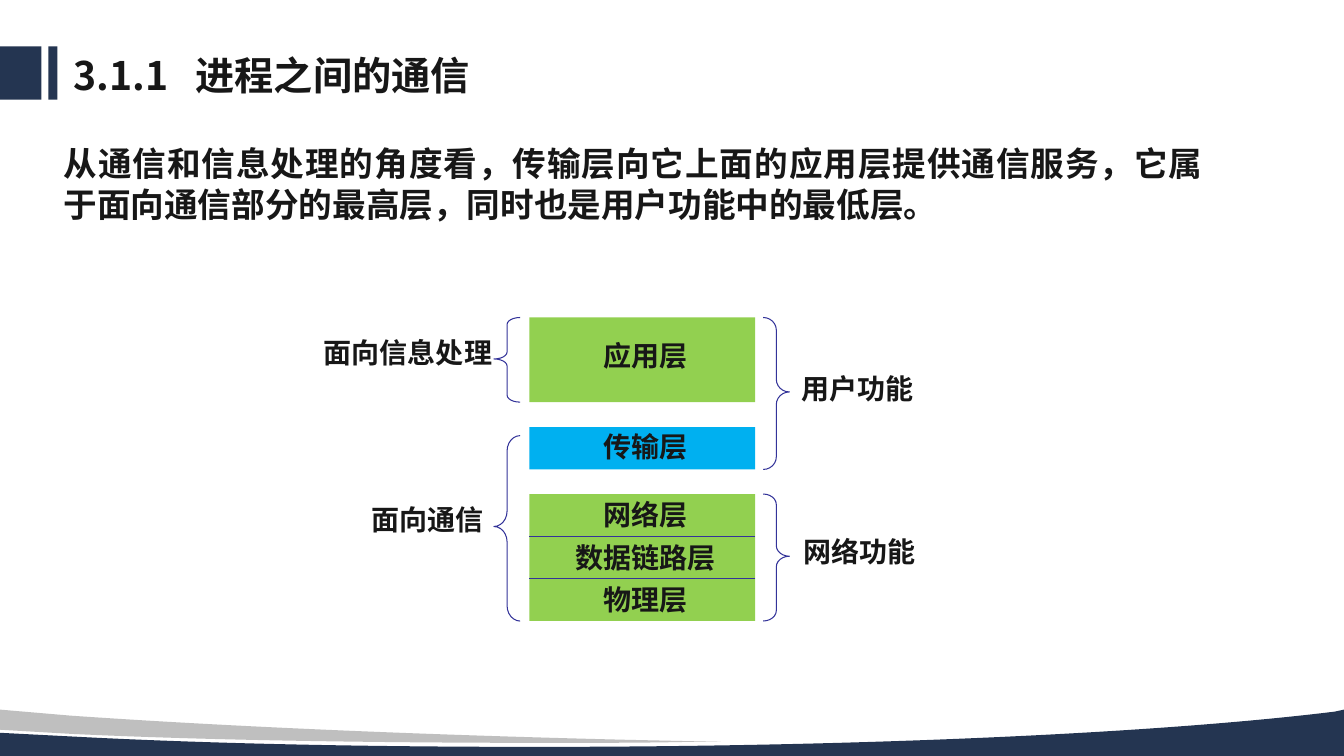
"""Build the slide on communication between processes and the layer stack."""
from dataclasses import dataclass

from pptx import Presentation
from pptx.dml.color import RGBColor
from pptx.enum.shapes import MSO_CONNECTOR, MSO_SHAPE
from pptx.enum.text import MSO_ANCHOR, MSO_AUTO_SIZE, PP_ALIGN
from pptx.oxml.ns import qn
from pptx.util import Inches, Pt

RECTANGLE, BRACE = MSO_SHAPE.RECTANGLE, MSO_SHAPE.RIGHT_BRACE
STRAIGHT = MSO_CONNECTOR.STRAIGHT
TOP, MIDDLE = MSO_ANCHOR.TOP, MSO_ANCHOR.MIDDLE
LEFT, CENTER, RIGHT = PP_ALIGN.LEFT, PP_ALIGN.CENTER, PP_ALIGN.RIGHT
JUSTIFY = PP_ALIGN.JUSTIFY
NO_AUTOFIT = MSO_AUTO_SIZE.NONE


@dataclass(frozen=True)
class Theme:
    text: str = "171717"
    navy: str = "243551"
    gray: str = "BFBFBF"
    green: str = "92D050"
    blue: str = "00B0F0"
    line: str = "333399"
    title_font: str = "Noto Sans CJK SC"
    font: str = "Noto Sans CJK JP"
    title_size: int = 28
    body_size: int = 24
    label_size: int = 20
    line_width: float = 0.75


THEME = Theme()
WIDTH, HEIGHT = 13.33, 7.5

TITLE = "3.1.1\t进程之间的通信"
BODY = "从通信和信息处理的角度看，传输层向它上面的应用层提供通信服务，它属于面向通信部分的最高层，同时也是用户功能中的最低层。"

STACK_LEFT, STACK_TOP, STACK_WIDTH, ROW = 5.25, 3.15, 2.24, 0.42
BRACE_WIDTH, LEFT_BRACES, RIGHT_BRACES = 0.26, 4.9, 7.57
BRACE_CURVE, BRACE_POINT = 0.32, 0.49
LABEL_HEIGHT, LABEL_INSET = 0.44, 0.1

BLOCKS = [
    {"start": 0, "rows": 2, "color": THEME.green, "rise": 0.04, "layers": ["应用层"]},
    {"start": 2.59, "rows": 1, "color": THEME.blue, "rise": 0.02, "layers": ["传输层"]},
    {"start": 4.17, "rows": 3, "color": THEME.green, "rise": 0, "layers": ["网络层", "数据链路层", "物理层"]},
]
BRACES = [
    {"side": RIGHT, "start": 0, "end": 3.59, "label": "用户功能", "edge": 7.85, "rise": 0.05},
    {"side": RIGHT, "start": 4.17, "end": 7.17, "label": "网络功能", "edge": 7.87, "rise": 0.06},
    {"side": LEFT, "start": 0, "end": 2, "label": "面向信息处理", "edge": 4.98, "rise": 0.07},
    {"side": LEFT, "start": 2.79, "end": 7.17, "label": "面向通信", "edge": 4.9, "rise": 0.09},
]
TITLE_BARS = [(0, 0.41), (0.48, 0.09)]
WAVES = [
    (THEME.navy, [
        [(WIDTH, 7.04)], [(WIDTH, HEIGHT)], [(0, HEIGHT)], [(0, 7.27)], [(0.77, 7.31)],
        [(2.12, 7.38), (3.67, 7.41), (5.32, 7.41)],
        [(8.62, 7.41), (11.53, 7.27), (13.24, 7.06)],
    ]),
    (THEME.gray, [
        [(0, 7.04)], [(0.7, 7.1)],
        [(2.29, 7.21), (4.17, 7.29), (6.22, 7.34)],
        [(7.15, 7.36)], [(6.84, 7.36)],
        [(6.4, 7.37), (5.94, 7.37), (5.48, 7.37)],
        [(3.61, 7.37), (1.92, 7.34), (0.69, 7.28)],
        [(0, 7.24)],
    ]),
]


def row_top(row):
    return STACK_TOP + row * ROW


def paint(shape, color):
    shape.shadow.inherit = False
    shape.fill.solid()
    shape.fill.fore_color.rgb = RGBColor.from_string(color)
    shape.line.fill.background()


def outline(shape):
    shape.line.color.rgb = RGBColor.from_string(THEME.line)
    shape.line.width = Pt(THEME.line_width)


def add_block(shapes, left, top, width, height, color):
    block = shapes.add_shape(RECTANGLE, *map(Inches, (left, top, width, height)))
    paint(block, color)


def write(shape, text, size, font_name, alignment, anchor, wrap, line_spacing=1.0):
    frame = shape.text_frame
    frame.text = text
    for name, value in {"word_wrap": wrap, "auto_size": NO_AUTOFIT, "vertical_anchor": anchor}.items():
        setattr(frame, name, value)
    paragraph = frame.paragraphs[0]
    paragraph_format = {"alignment": alignment, "line_spacing": line_spacing, "space_before": Pt(0)}
    for name, value in paragraph_format.items():
        setattr(paragraph, name, value)
    run = paragraph.runs[0]
    for name, value in {"size": Pt(size), "bold": True, "name": font_name}.items():
        setattr(run.font, name, value)
    run.font.color.rgb = RGBColor.from_string(THEME.text)
    properties = run._r.get_or_add_rPr()
    properties.set("lang", "zh-CN")
    east_asian = properties.makeelement(qn("a:ea"), {"typeface": font_name})
    properties.find(qn("a:latin")).addnext(east_asian)
    return paragraph


def place(shape, left, top, width, height):
    for name, value in {"left": left, "top": top, "width": width, "height": height}.items():
        setattr(shape, name, Inches(value))


def add_label(shapes, text, anchor_x, middle, alignment):
    width = len(text) * THEME.label_size / 72 + 2 * LABEL_INSET
    left = anchor_x - {LEFT: 0, CENTER: 0.5, RIGHT: 1}[alignment] * width
    box = shapes.add_textbox(*map(Inches, (left, middle - LABEL_HEIGHT / 2, width, LABEL_HEIGHT)))
    write(box, text, THEME.label_size, THEME.font, alignment, TOP, False)


def fill_placeholders(slide):
    title, body = slide.placeholders
    place(title, 0.63, 0.51, 9.98, 0.52)
    paragraph = write(title, TITLE, THEME.title_size, THEME.title_font, LEFT, MIDDLE, True, 0.9)
    properties = paragraph._p.get_or_add_pPr()
    tabs = properties.makeelement(qn("a:tabLst"), {})
    tabs.append(tabs.makeelement(qn("a:tab"), {"pos": str(Inches(1.21)), "algn": "l"}))
    properties.append(tabs)

    place(body, 0.53, 1.37, 11.5, 4.76)
    paragraph = write(body, BODY, THEME.body_size, THEME.font, JUSTIFY, TOP, True)
    properties = paragraph._p.get_or_add_pPr()
    properties.set("marL", "0")
    properties.set("indent", "0")
    properties.append(properties.makeelement(qn("a:buNone"), {}))


def add_wave(shapes, color, segments):
    points = [(Inches(x), Inches(y)) for segment in segments for x, y in segment]
    builder = shapes.build_freeform(*points[0])
    builder.add_line_segments(points[1:], close=True)
    wave = builder.convert_to_shape()
    paint(wave, color)
    lines = iter(wave._element.findall(".//" + qn("a:lnTo")))
    for segment in segments[1:]:
        steps = [next(lines) for _ in segment]
        if len(steps) == 3:
            bend = steps[0].makeelement(qn("a:cubicBezTo"), {})
            steps[0].addprevious(bend)
            for step in steps:
                bend.append(step[0])
                step.getparent().remove(step)


def add_stack(shapes):
    center = STACK_LEFT + STACK_WIDTH / 2 + 0.03
    for block in BLOCKS:
        layers = block["layers"]
        layer_rows = block["rows"] / len(layers)
        add_block(shapes, STACK_LEFT, row_top(block["start"]), STACK_WIDTH, block["rows"] * ROW, block["color"])
        for index, layer in enumerate(layers):
            start = block["start"] + index * layer_rows
            if index:
                y = Inches(row_top(start))
                divider = shapes.add_connector(STRAIGHT, Inches(STACK_LEFT), y, Inches(STACK_LEFT + STACK_WIDTH), y)
                outline(divider)
                properties = divider._element.spPr
                properties.append(properties.makeelement(qn("a:effectLst"), {}))
            add_label(shapes, layer, center, row_top(start + layer_rows / 2) - block["rise"], CENTER)


def add_braces(shapes):
    for item in BRACES:
        on_right = item["side"] == RIGHT
        left = RIGHT_BRACES if on_right else LEFT_BRACES
        top, height = row_top(item["start"]), (item["end"] - item["start"]) * ROW
        brace = shapes.add_shape(BRACE, *map(Inches, (left, top, BRACE_WIDTH, height)))
        brace.shadow.inherit = False
        brace.fill.background()
        outline(brace)
        brace.adjustments[0], brace.adjustments[1] = BRACE_CURVE * height, BRACE_POINT
        if not on_right:
            brace._element.spPr.xfrm.set("flipH", "1")
        add_label(shapes, item["label"], item["edge"], top + height / 2 - item["rise"], LEFT if on_right else RIGHT)


def main():
    presentation = Presentation()
    presentation.slide_width, presentation.slide_height = Inches(WIDTH), Inches(HEIGHT)
    slide = presentation.slides.add_slide(presentation.slide_layouts[1])
    fill_placeholders(slide)
    for left, width in TITLE_BARS:
        add_block(slide.shapes, left, 0.46, width, 0.53, THEME.navy)
    for color, segments in WAVES:
        add_wave(slide.shapes, color, segments)
    add_stack(slide.shapes)
    add_braces(slide.shapes)
    presentation.save("out.pptx")


if __name__ == "__main__":
    main()
